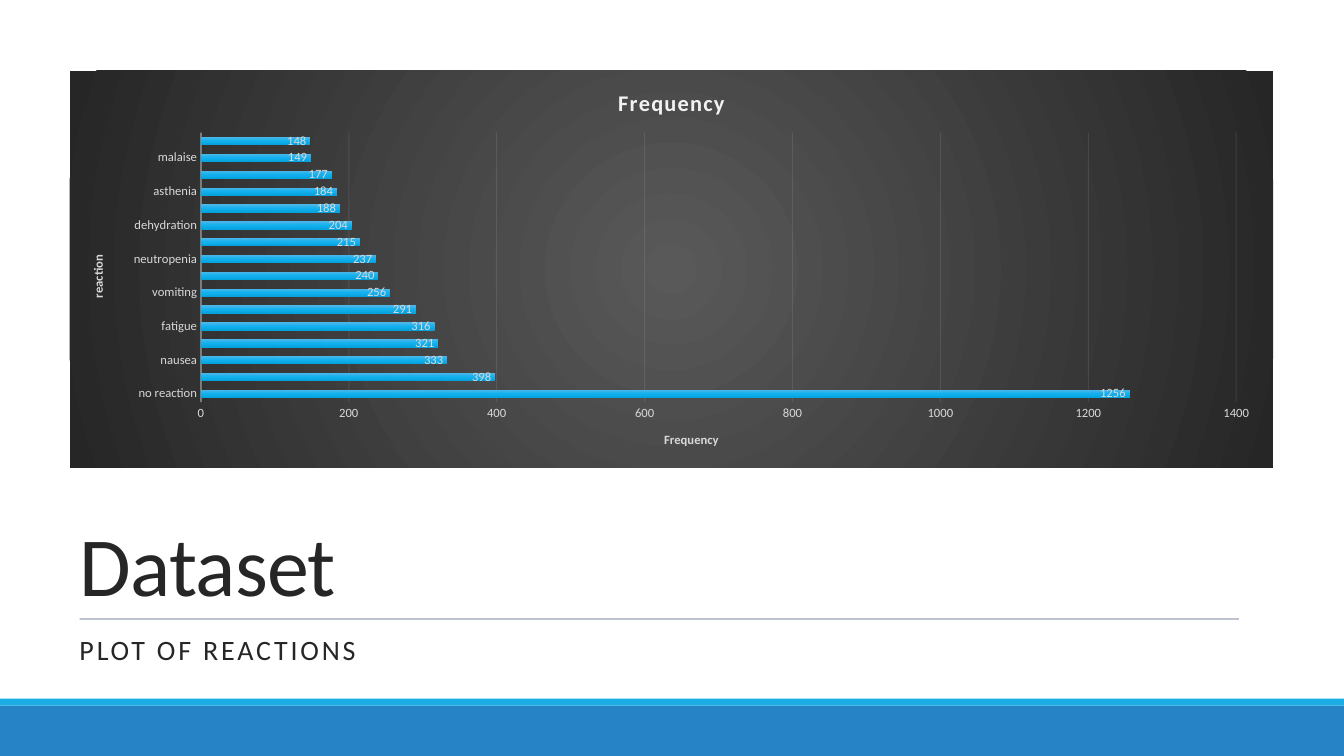
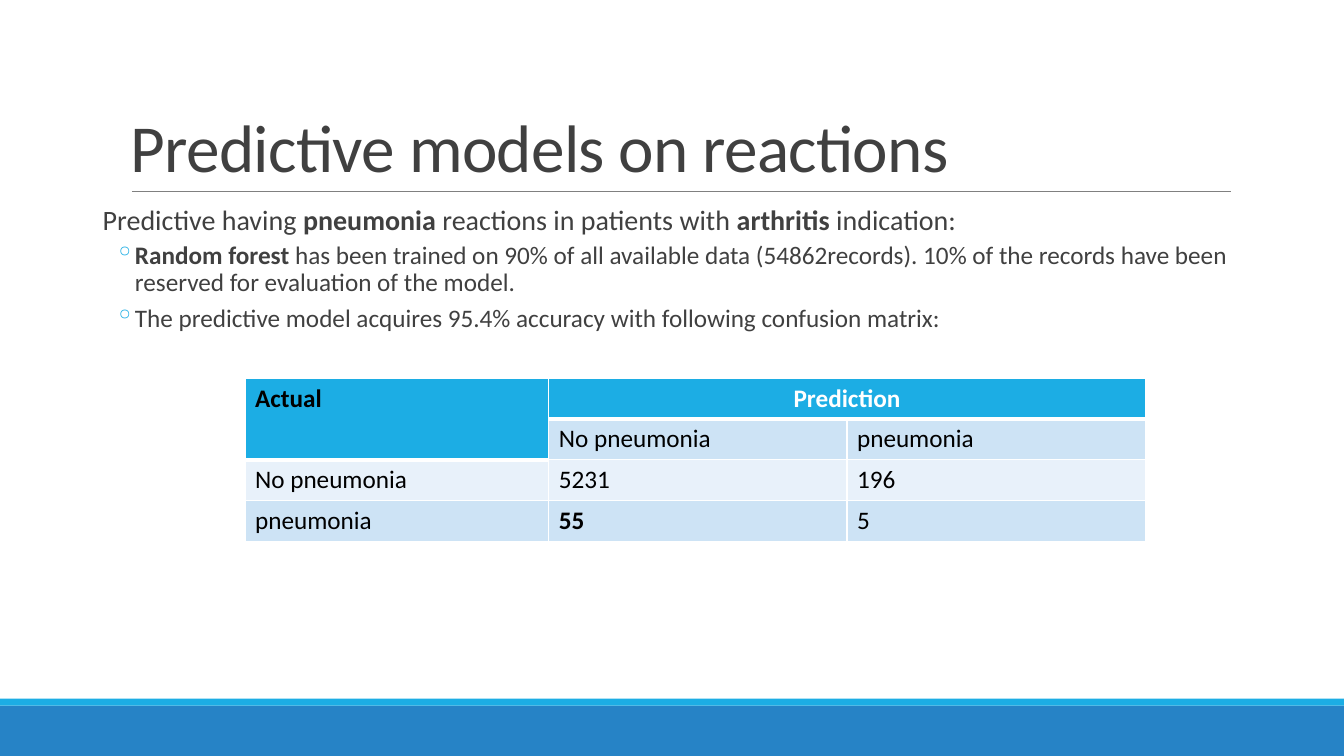
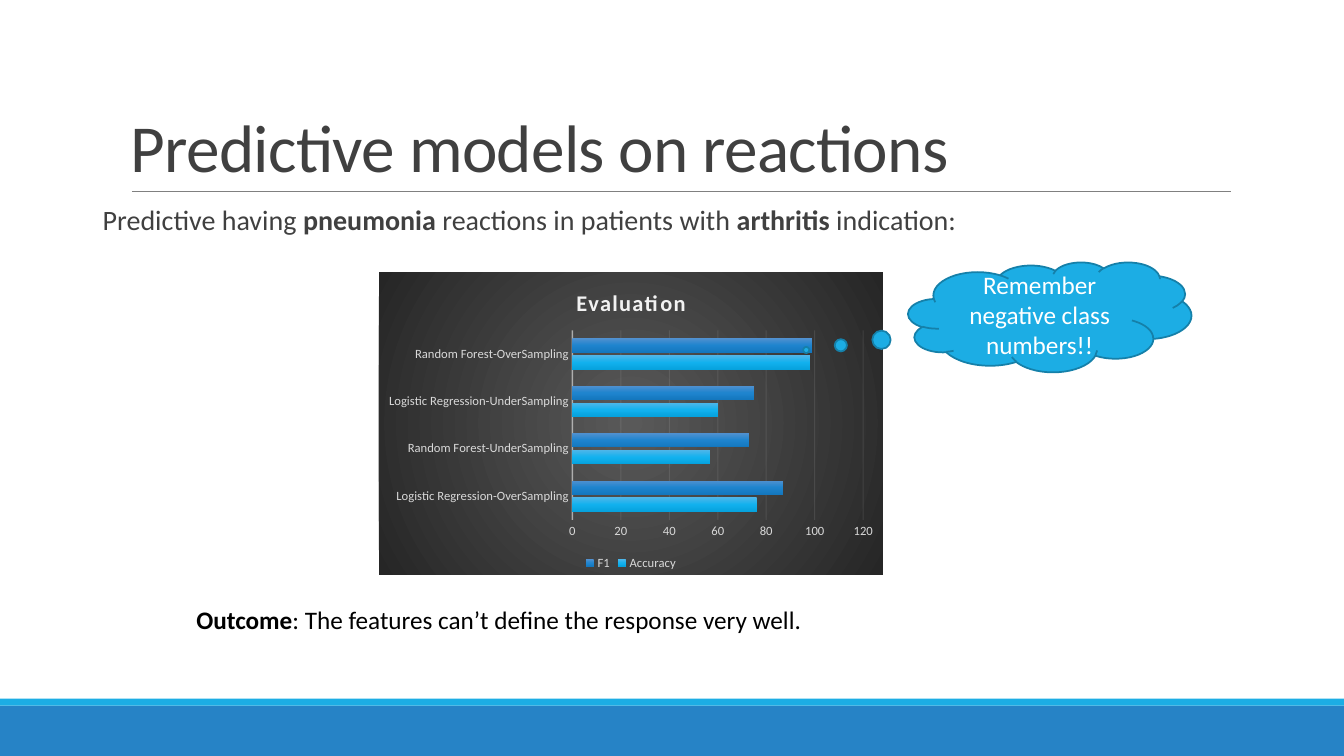
"""Build three slides on drug reactions and the models that predict them."""
from dataclasses import dataclass
from typing import Any, NamedTuple

import pptx
import pptx.chart.data
import pptx.dml.color
import pptx.enum.chart
import pptx.enum.shapes
import pptx.enum.text
import pptx.oxml
import pptx.oxml.ns
import pptx.util
from lxml import etree

Pt = pptx.util.Pt
RGBColor = pptx.dml.color.RGBColor
qn = pptx.oxml.ns.qn
Anchor = pptx.enum.text.MSO_ANCHOR
Align = pptx.enum.text.PP_ALIGN
Shape = pptx.enum.shapes.MSO_SHAPE
Mark = pptx.enum.chart.XL_TICK_MARK

FACE = "Calibri"
SKY = RGBColor(0x1C, 0xAD, 0xE4)
BLUE = RGBColor(0x26, 0x83, 0xC6)
TEAL = RGBColor(0x15, 0x80, 0xA9)
NAVY = RGBColor(0x34, 0x40, 0x68)
GREY = RGBColor(0x80, 0x80, 0x80)
INK = RGBColor(0x26, 0x26, 0x26)
SLATE = RGBColor(0x40, 0x40, 0x40)
BLACK = RGBColor(0, 0, 0)
WHITE = RGBColor(0xFF, 0xFF, 0xFF)
MIST = RGBColor(0xD9, 0xD9, 0xD9)
PALE = RGBColor(0xF2, 0xF2, 0xF2)
DARK = RGBColor(0x59, 0x59, 0x59)
TINT = RGBColor(0xCD, 0xE3, 0xF5)
LIGHT = RGBColor(0xE8, 0xF1, 0xFA)
SKY_FADE = (RGBColor(0x4F, 0xB6, 0xE9), RGBColor(0x12, 0xB1, 0xEE), RGBColor(0x06, 0xA2, 0xDD))
BLUE_FADE = (RGBColor(0x51, 0x91, 0xD0), RGBColor(0x1E, 0x84, 0xCE), RGBColor(0x14, 0x77, 0xBE))
RADIAL = '<a:path path="circle"><a:fillToRect l="50000" t="50000" r="50000" b="50000"/></a:path>'
DOWN = '<a:lin ang="5400000" scaled="0"/>'
TITLE = "Predictive models on reactions"


class Box(NamedTuple):
    """Left, top, width and height in points."""
    left: float
    top: float
    wide: float
    high: float

    def lengths(self) -> tuple[Any, ...]:
        """Give the four sides as lengths."""
        return tuple(Pt(side) for side in self)


class Run(NamedTuple):
    """A stretch of text in one weight."""
    text: str
    bold: bool = False


@dataclass(frozen=True)
class Para:
    """A paragraph and its format."""
    runs: tuple[Run, ...]
    size: float
    color: Any = SLATE
    lead: float = 1.0
    before: float = 0
    after: float = 0
    margin: float = 0
    hang: float = 0
    track: float = 0
    bullet: str = ""
    align: Any = Align.LEFT


class Set(NamedTuple):
    """A chart series with its gradient."""
    name: str
    values: tuple[int, ...]
    fade: tuple[Any, ...]


@dataclass(frozen=True)
class Plot:
    """A bar chart on a dark panel."""
    box: Box
    title: str
    names: tuple[str, ...]
    sets: tuple[Set, ...]
    top: int
    step: int
    left_name: str = ""
    base_name: str = ""
    labels: bool = False
    legend: bool = False


INTRO = Para((Run("Predictive having "), Run("pneumonia", True),
              Run(" reactions in patients with "), Run("arthritis", True),
              Run(" indication:")), 20, lead=0.9, after=2, margin=7.2)
POINT = {"size": 18, "lead": 0.9, "before": 2, "after": 4,
         "margin": 30.24, "hang": -14.4, "bullet": "◦"}
POINTS = (
    Para((Run("Random forest ", True),
          Run("has been trained on 90% of all available data (54862records). "
              "10% of the records have been reserved for evaluation of the model.")), **POINT),
    Para((Run("The predictive model acquires 95.4% accuracy with following confusion matrix:"),),
         **POINT),
)
COUNTS = Plot(
    Box(49.7, 50.4, 859.7, 283.7), "Frequency",
    ("no reaction", "diarrhoea", "nausea", "dyspnoea", "fatigue", "pyrexia", "vomiting",
     "febrile neutropenia", "neutropenia", "pain", "dehydration", "arthralgia", "asthenia",
     "anaemia", "malaise", "white blood cell count decreased"),
    (Set("Frequency", (1256, 398, 333, 321, 316, 291, 256, 240, 237, 215, 204, 188, 184,
                       177, 149, 148), SKY_FADE),),
    1400, 200, "reaction", "Frequency", labels=True)
SCORES = Plot(
    Box(270.7, 194.4, 360, 216), "Evaluation",
    ("Logistic Regression-OverSampling", "Random Forest-UnderSampling",
     "Logistic Regression-UnderSampling", "Random Forest-OverSampling"),
    (Set("Accuracy", (76, 57, 60, 98), SKY_FADE), Set("F1", (87, 73, 75, 99), BLUE_FADE)),
    120, 20, legend=True)
CELLS = (("Actual", "Prediction", ""), ("", "No pneumonia", "pneumonia"),
         ("No pneumonia", "5231", "196"), ("pneumonia", "55", "5"))
HEADS = (1, 0, 0)


def put(item: Any, values: dict[str, Any]) -> None:
    """Set each named value on the item."""
    for name, value in values.items():
        setattr(item, name, value)


def style(font: Any, size: float, color: Any, bold: bool = False) -> None:
    """Set face, size, weight and colour."""
    put(font, {"name": FACE, "size": Pt(size), "bold": bold})
    font.color.rgb = color


def stroke(line: Any, color: Any, width: float, alpha: int = 100) -> None:
    """Set a line's colour, width and opacity in percent."""
    line.color.rgb = color
    line.width = Pt(width)
    if alpha < 100:
        tone = line._ln.find(".//" + qn("a:srgbClr"))
        etree.SubElement(tone, qn("a:alpha")).set("val", str(alpha * 1000))


def blend(colors: tuple[Any, ...], course: str) -> Any:
    """Make a gradient fill of evenly spaced colours."""
    gap = 100000 // (len(colors) - 1)
    stops = "".join(f'<a:gs pos="{i * gap}"><a:srgbClr val="{color}"/></a:gs>'
                    for i, color in enumerate(colors))
    return pptx.oxml.parse_xml(f'<a:gradFill {pptx.oxml.ns.nsdecls("a")} rotWithShape="1">'
                               f"<a:gsLst>{stops}</a:gsLst>{course}</a:gradFill>")


def write(frame: Any, paras: tuple[Para, ...]) -> None:
    """Fill a text frame with paragraphs."""
    for i, para in enumerate(paras):
        line = frame.add_paragraph() if i else frame.paragraphs[0]
        put(line, {"line_spacing": para.lead, "space_before": Pt(para.before),
                   "space_after": Pt(para.after), "alignment": para.align})
        props = line._p.get_or_add_pPr()
        props.set("marL", str(Pt(para.margin)))
        props.set("indent", str(Pt(para.hang)))
        if para.bullet:
            tint = etree.SubElement(props, qn("a:buClr"))
            etree.SubElement(tint, qn("a:srgbClr")).set("val", str(SKY))
            etree.SubElement(props, qn("a:buChar")).set("char", para.bullet)
        for part in para.runs:
            run = line.add_run()
            run.text = part.text
            style(run.font, para.size, para.color, part.bold)
            if para.track:
                run._r.get_or_add_rPr().set("spc", str(round(para.track * 100)))


def add_text(slide: Any, box: Box, paras: tuple[Para, ...],
             anchor: Any = Anchor.TOP, side: float = 7.2) -> None:
    """Add a wrapped text box."""
    frame = slide.shapes.add_textbox(*box.lengths()).text_frame
    put(frame, {"word_wrap": True, "vertical_anchor": anchor,
                "margin_left": Pt(side), "margin_right": Pt(side)})
    write(frame, paras)


def add_rule(slide: Any, left: float, right: float, top: float,
             color: Any, alpha: int = 100) -> None:
    """Add a thin level line."""
    kind = pptx.enum.shapes.MSO_CONNECTOR.STRAIGHT
    rule = slide.shapes.add_connector(kind, Pt(left), Pt(top), Pt(right), Pt(top))
    stroke(rule.line, color, 0.5, alpha)
    etree.SubElement(rule._element.spPr, qn("a:effectLst"))


def add_shape(slide: Any, kind: Any, box: Box, color: Any) -> Any:
    """Add a flat filled shape without an outline."""
    shape = slide.shapes.add_shape(kind, *box.lengths())
    shape.shadow.inherit = False
    shape.fill.solid()
    shape.fill.fore_color.rgb = color
    shape.line.fill.background()
    return shape


def add_slide(deck: Any) -> Any:
    """Add a blank slide with the two foot bands."""
    slide = deck.slides.add_slide(deck.slide_layouts[6])
    add_shape(slide, Shape.RECTANGLE, Box(0, 504, 960, 36), BLUE)
    add_shape(slide, Shape.RECTANGLE, Box(0, 499, 960, 5), SKY)
    return slide


def add_page(deck: Any, paras: tuple[Para, ...]) -> Any:
    """Add a slide with title, rule and body."""
    slide = add_slide(deck)
    add_rule(slide, 94.3, 879.1, 136.8, GREY)
    head = Para((Run(TITLE),), 48, lead=0.85, track=-0.5)
    add_text(slide, Box(86.4, 22.3, 792, 114.5), (head,), Anchor.BOTTOM)
    add_text(slide, Box(66.2, 144, 828, 396), paras, side=0)
    return slide


def name_axis(axis: Any, text: str) -> Any:
    """Give an axis a bold title."""
    frame = axis.axis_title.text_frame
    frame.text = text
    style(frame.paragraphs[0].runs[0].font, 9, MIST, True)
    return frame


def add_plot(slide: Any, plot: Plot) -> None:
    """Add a bar chart with gradient bars on a dark panel."""
    data = pptx.chart.data.CategoryChartData()
    data.categories = plot.names
    for part in plot.sets:
        data.add_series(part.name, part.values)
    kind = pptx.enum.chart.XL_CHART_TYPE.BAR_CLUSTERED
    chart = slide.shapes.add_chart(kind, *plot.box.lengths(), data).chart
    style(chart.font, 9, MIST)
    put(chart, {"has_title": True, "has_legend": plot.legend})
    title = chart.chart_title.text_frame
    title.text = plot.title
    run = title.paragraphs[0].runs[0]
    style(run.font, 16, PALE, True)
    run._r.get_or_add_rPr().set("spc", "100")
    if plot.legend:
        put(chart.legend, {"position": pptx.enum.chart.XL_LEGEND_POSITION.BOTTOM,
                           "include_in_layout": False})
        style(chart.legend.font, 9, MIST)

    panel = etree.Element(qn("c:spPr"))
    panel.append(blend((DARK, INK), RADIAL))
    etree.SubElement(etree.SubElement(panel, qn("a:ln")), qn("a:noFill"))
    chart._chartSpace.find(qn("c:chart")).addnext(panel)

    side, base = chart.category_axis, chart.value_axis
    for axis in (side, base):
        put(axis, {"major_tick_mark": Mark.NONE, "minor_tick_mark": Mark.NONE})
        style(axis.tick_labels.font, 9, MIST)
    put(base, {"minimum_scale": 0, "maximum_scale": plot.top,
               "major_unit": plot.step, "has_major_gridlines": True})
    stroke(side.format.line, PALE, 1, 54)
    stroke(base.major_gridlines.format.line, PALE, 0.75, 10)
    base.format.line.fill.background()
    if plot.left_name:
        turn = name_axis(side, plot.left_name)._txBody.find(qn("a:bodyPr"))
        turn.set("rot", "-5400000")
        turn.set("vert", "horz")
    if plot.base_name:
        name_axis(base, plot.base_name)

    bars = chart.plots[0]
    put(bars, {"gap_width": 115, "overlap": -20, "vary_by_categories": False,
               "has_data_labels": plot.labels})
    for row, part in zip(bars.series, plot.sets):
        row._element.get_or_add_spPr().append(blend(part.fade, DOWN))
    if plot.labels:
        put(bars.data_labels, {"show_value": True,
                               "position": pptx.enum.chart.XL_LABEL_POSITION.INSIDE_END})
        style(bars.data_labels.font, 9, MIST)


def edge(cell: Any, sides: dict[str, float]) -> None:
    """Draw white cell borders of the given widths."""
    props = cell._tc.get_or_add_tcPr()
    for i, (side, width) in enumerate(sides.items()):
        line = etree.Element(qn(f"a:ln{side}"), w=str(Pt(width)))
        fill = etree.SubElement(line, qn("a:solidFill"))
        etree.SubElement(fill, qn("a:srgbClr")).set("val", str(WHITE))
        props.insert(i, line)


def add_grid(slide: Any) -> None:
    """Add the confusion matrix."""
    box = Box(175, 270, 643, 116.8)
    table = slide.shapes.add_table(len(CELLS), len(HEADS), *box.lengths()).table
    for col, width in zip(table.columns, (217, 213, 213)):
        col.width = Pt(width)
    for r, texts in enumerate(CELLS):
        for c, text in enumerate(texts):
            cell = table.cell(r, c)
            head = r <= HEADS[c]
            cell.fill.solid()
            cell.fill.fore_color.rgb = SKY if head else TINT if r % 2 else LIGHT
            edge(cell, {"L": 1, "R": 1, "T": 3 if r == HEADS[c] + 1 else 1, "B": 3 if head else 1})
            if text:
                mid = text == "Prediction"
                write(cell.text_frame, (Para((Run(text, head or text == "55"),), 18,
                                             WHITE if mid else BLACK,
                                             align=Align.CENTER if mid else Align.LEFT),))
    table.cell(0, 0).merge(table.cell(1, 0))
    table.cell(0, 1).merge(table.cell(0, 2))


def add_cloud(slide: Any) -> None:
    """Add the thought cloud that points at the chart."""
    cloud = add_shape(slide, Shape.CLOUD_CALLOUT, Box(648.7, 187.2, 202.3, 78.5), SKY)
    stroke(cloud.line, TEAL, 1.25)
    cloud.adjustments[0], cloud.adjustments[1] = -0.86, 0.3
    put(cloud.text_frame, {"word_wrap": True, "vertical_anchor": Anchor.MIDDLE})
    write(cloud.text_frame, (Para((Run("Remember negative class numbers!!"),), 18, WHITE,
                                  align=Align.CENTER),))


def main() -> None:
    """Build and save the deck."""
    deck = pptx.Presentation()
    put(deck, {"slide_width": Pt(960), "slide_height": Pt(540)})

    first = add_slide(deck)
    add_text(first, Box(49.7, 358.6, 859, 83.5),
             (Para((Run("Dataset"),), 60, INK, 0.85, track=-0.5),), Anchor.BOTTOM)
    add_text(first, Box(49.7, 450.7, 860.4, 40.3),
             (Para((Run("PLOT OF REACTIONS"),), 20, INK, 0.9, after=2, track=2),))
    add_rule(first, 56.9, 884.9, 442.1, NAVY, 90)
    add_plot(first, COUNTS)

    add_grid(add_page(deck, (INTRO, *POINTS)))

    last = add_page(deck, (INTRO,))
    add_text(last, Box(97.2, 428.4, 652.3, 28.8),
             (Para((Run("Outcome", True),
                    Run(": The features can’t define the response very well.")),
                   18, BLACK, margin=36),))
    add_plot(last, SCORES)
    add_cloud(last)

    deck.save("out.pptx")


if __name__ == "__main__":
    main()
